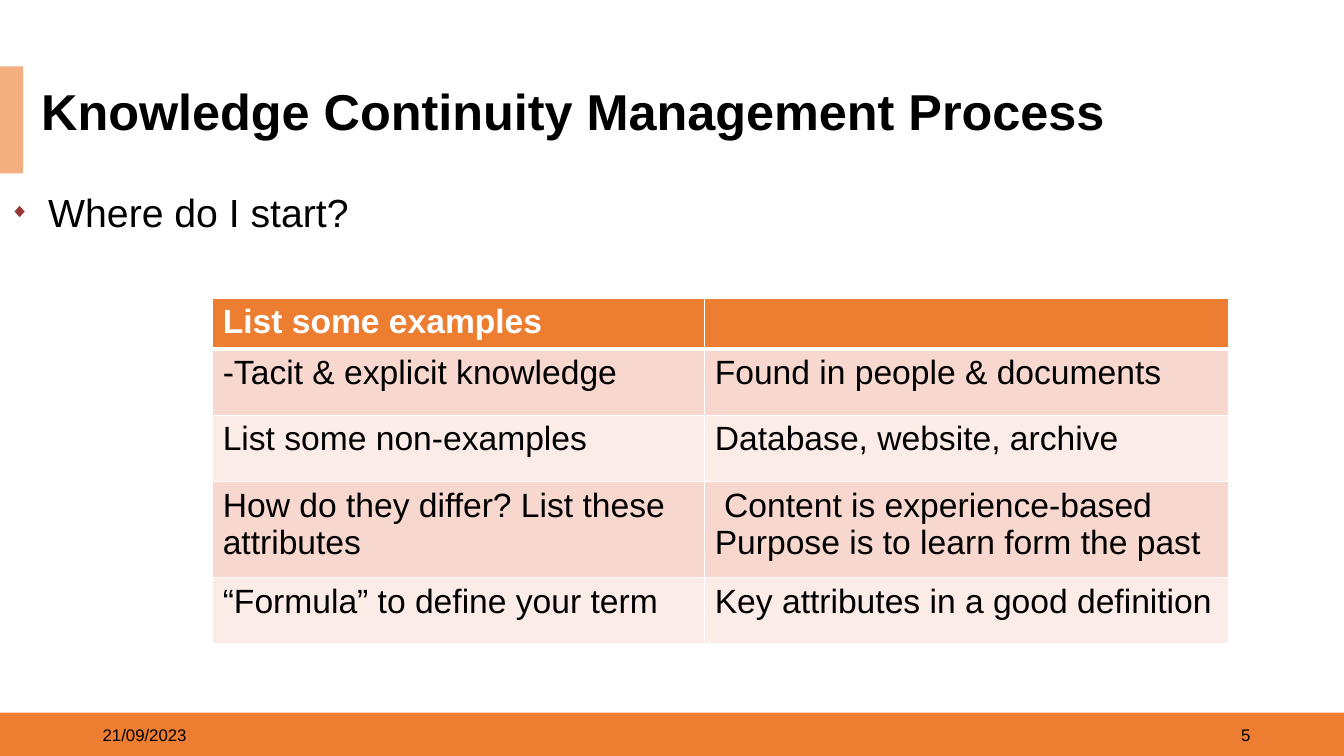
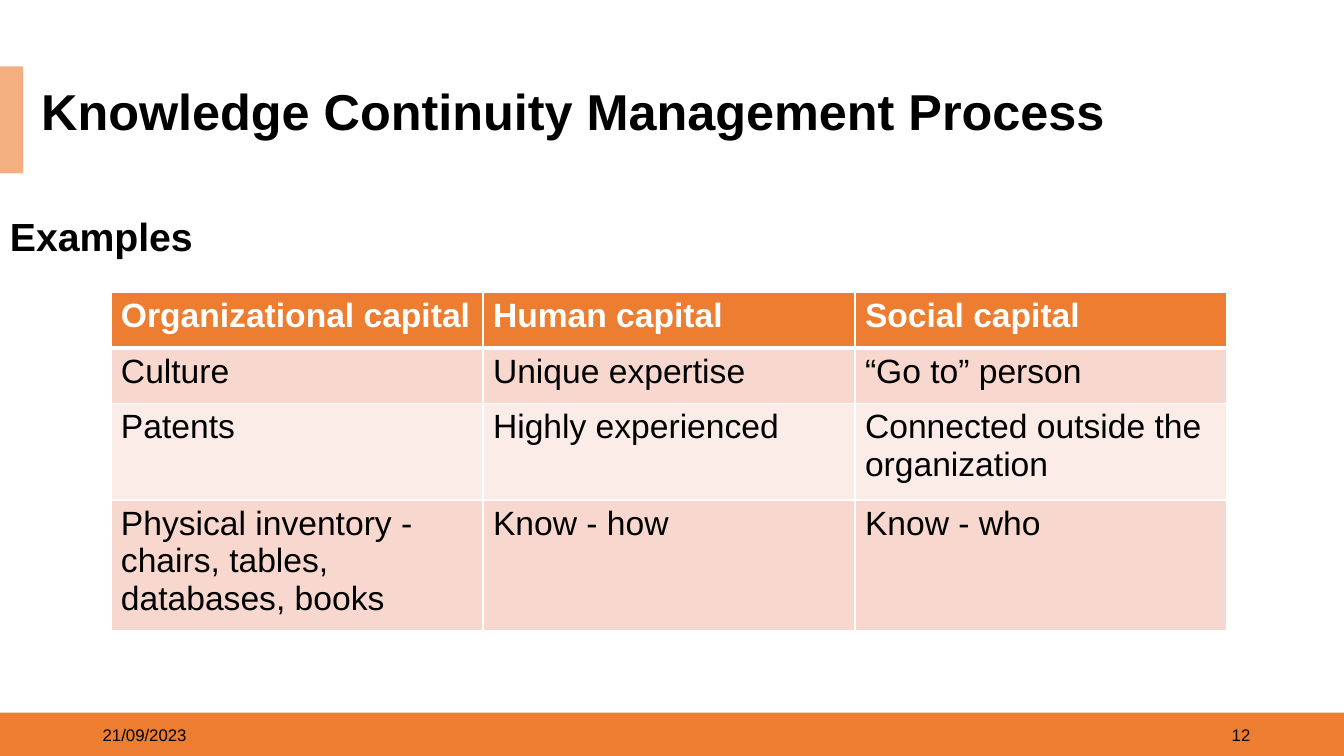
from dataclasses import dataclass

from lxml import etree
from pptx import Presentation
from pptx import util as u
from pptx.dml.color import RGBColor
from pptx.enum import shapes, text
from pptx.oxml import ns

ORANGE = RGBColor(0xED, 0x7D, 0x31)
PEACH = RGBColor(0xF4, 0xAF, 0x80)
MAROON = RGBColor(0x97, 0x37, 0x35)
ROSE = RGBColor(0xF8, 0xD7, 0xCE)
BLUSH = RGBColor(0xFC, 0xEC, 0xE8)
WHITE = RGBColor(0xFF, 0xFF, 0xFF)
BLACK = RGBColor(0, 0, 0)
FONT = "Arial"
TITLE = "Knowledge Continuity Management Process"
DATE = "21/09/2023"


@dataclass(frozen=True)
class Box:
    left: float
    top: float
    width: float
    height: float

    def emu(self) -> tuple:
        return tuple(u.Inches(v) for v in (self.left, self.top, self.width, self.height))


@dataclass(frozen=True)
class Style:
    size: int
    bold: bool = False
    color: RGBColor = BLACK
    align: text.PP_ALIGN = text.PP_ALIGN.LEFT
    spacing: float = 1.0
    anchor: text.MSO_ANCHOR = text.MSO_ANCHOR.MIDDLE
    bullet: bool = False


@dataclass(frozen=True)
class Grid:
    left: float
    top: float
    cols: tuple
    heights: tuple
    rows: tuple


@dataclass(frozen=True)
class Page:
    number: int
    lead: str
    lead_style: Style
    grid: Grid


FOOTER_BAND = Box(0, 7.07, 13.33, 0.44)
TITLE_TAB = Box(0, 0.66, 0.23, 1.06)
TITLE_BOX = Box(0.31, 0.74, 11.5, 0.78)
LEAD_BOX = Box(0, 1.82, 13.09, 4.65)
DATE_BOX = Box(0.92, 7.09, 3, 0.4)
NUMBER_BOX = Box(9.5, 7.09, 3, 0.4)

TITLE_STYLE = Style(36, bold=True, spacing=0.9)
DATE_STYLE = Style(12)
NUMBER_STYLE = Style(12, align=text.PP_ALIGN.RIGHT)
BULLET_LEAD = Style(28, align=text.PP_ALIGN.JUSTIFY, anchor=text.MSO_ANCHOR.TOP, bullet=True)
HEADING_LEAD = Style(28, bold=True, align=text.PP_ALIGN.JUSTIFY, spacing=1.5,
                     anchor=text.MSO_ANCHOR.TOP)
HEADER_CELL = Style(24, bold=True, color=WHITE)
BODY_CELL = Style(24)

PAGES = (
    Page(5, "Where do I start?", BULLET_LEAD, Grid(
        2.11, 2.96, (4.88, 5.2), (0.46, 0.66, 0.66, 0.95, 0.66), (
            ("List some examples", ""),
            ("-Tacit & explicit knowledge", "Found in people & documents"),
            ("List some non-examples", "Database, website, archive"),
            ("How do they differ? List these attributes",
             " Content is experience-based Purpose is to learn form the past"),
            ("“Formula” to define your term", "Key attributes in a good definition"),
        ))),
    Page(12, "Examples", HEADING_LEAD, Grid(
        1.1, 2.9, (3.69,) * 3, (0.55, 0.55, 0.96, 1.21), (
            ("Organizational capital", "Human capital", "Social capital"),
            ("Culture", "Unique expertise", "“Go to” person"),
            ("Patents", "Highly experienced", "Connected outside the organization"),
            ("Physical inventory - chairs, tables, databases, books",
             "Know - how", "Know - who"),
        ))),
)


def add_bullet(p) -> None:
    pr = p._p.get_or_add_pPr()
    pr.set("marL", str(u.Inches(0.38)))
    pr.set("indent", str(-u.Inches(0.38)))
    color = etree.SubElement(pr, ns.qn("a:buClr"))
    etree.SubElement(color, ns.qn("a:srgbClr"), val=str(MAROON))
    etree.SubElement(pr, ns.qn("a:buSzPct"), val="50000")
    etree.SubElement(pr, ns.qn("a:buFont"), typeface=FONT)
    etree.SubElement(pr, ns.qn("a:buChar"), char="◆")


def write(tf, words: str, style: Style) -> None:
    p = tf.paragraphs[0]
    if style.bullet:
        add_bullet(p)
    p.alignment = style.align
    p.line_spacing = style.spacing
    p.font.size = u.Pt(style.size)
    if words:
        r = p.add_run()
        r.text = words
        r.font.name = FONT
        r.font.size = u.Pt(style.size)
        r.font.bold = style.bold
        r.font.color.rgb = style.color


def add_text(s, box: Box, words: str, style: Style):
    sp = s.shapes.add_textbox(*box.emu())
    tf = sp.text_frame
    tf.word_wrap = True
    tf.vertical_anchor = style.anchor
    write(tf, words, style)
    return sp


def add_band(s, box: Box, color: RGBColor) -> None:
    sp = s.shapes.add_shape(shapes.MSO_SHAPE.RECTANGLE, *box.emu())
    sp.shadow.inherit = False
    sp.fill.solid()
    sp.fill.fore_color.rgb = color
    sp.line.fill.background()


def add_borders(cell, top: int, bottom: int) -> None:
    pr = cell._tc.get_or_add_tcPr()
    for tag, width in (("lnL", 1), ("lnR", 1), ("lnT", top), ("lnB", bottom)):
        line = etree.SubElement(pr, ns.qn(f"a:{tag}"), w=str(u.Pt(width)))
        fill = etree.SubElement(line, ns.qn("a:solidFill"))
        etree.SubElement(fill, ns.qn("a:srgbClr"), val=str(WHITE))


def add_grid(s, grid: Grid) -> None:
    box = Box(grid.left, grid.top, sum(grid.cols), sum(grid.heights))
    table = s.shapes.add_table(len(grid.rows), len(grid.cols), *box.emu()).table
    for col, width in zip(table.columns, grid.cols):
        col.width = u.Inches(width)
    for i, (height, row) in enumerate(zip(grid.heights, grid.rows)):
        table.rows[i].height = u.Inches(height)
        header = i == 0
        color = ORANGE if header else (ROSE if i % 2 else BLUSH)
        for j, words in enumerate(row):
            cell = table.cell(i, j)
            add_borders(cell, 3 if i == 1 else 1, 3 if header else 1)
            cell.fill.solid()
            cell.fill.fore_color.rgb = color
            write(cell.text_frame, words, HEADER_CELL if header else BODY_CELL)


def add_page(prs, page: Page) -> None:
    s = prs.slides.add_slide(prs.slide_layouts[6])
    add_band(s, FOOTER_BAND, ORANGE)
    add_band(s, TITLE_TAB, PEACH)
    add_text(s, NUMBER_BOX, str(page.number), NUMBER_STYLE)
    add_text(s, LEAD_BOX, page.lead, page.lead_style)
    add_text(s, DATE_BOX, DATE, DATE_STYLE)
    title = add_text(s, TITLE_BOX, TITLE, TITLE_STYLE)
    title.fill.solid()
    title.fill.fore_color.rgb = WHITE
    add_grid(s, page.grid)


def main() -> None:
    prs = Presentation()
    prs.slide_width = u.Inches(13.33)
    prs.slide_height = u.Inches(7.5)
    for page in PAGES:
        add_page(prs, page)
    prs.save("out.pptx")


if __name__ == "__main__":
    main()
